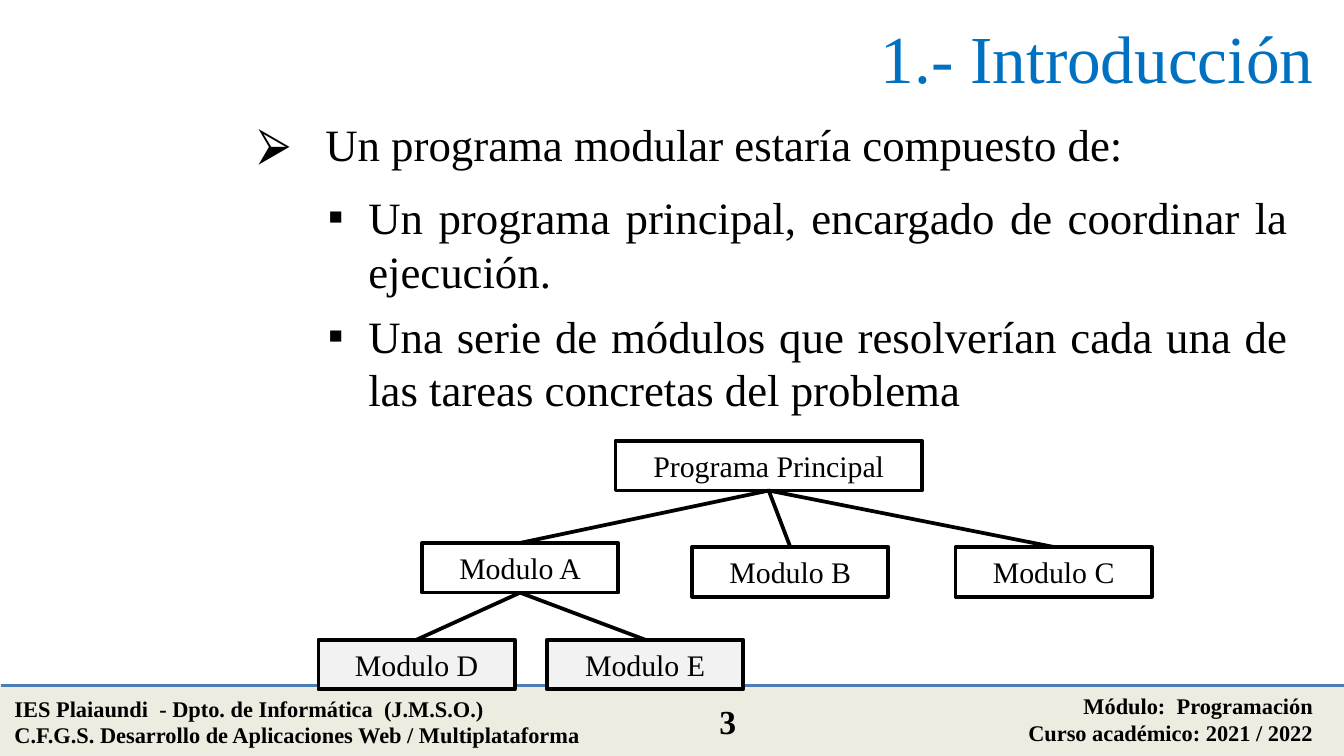
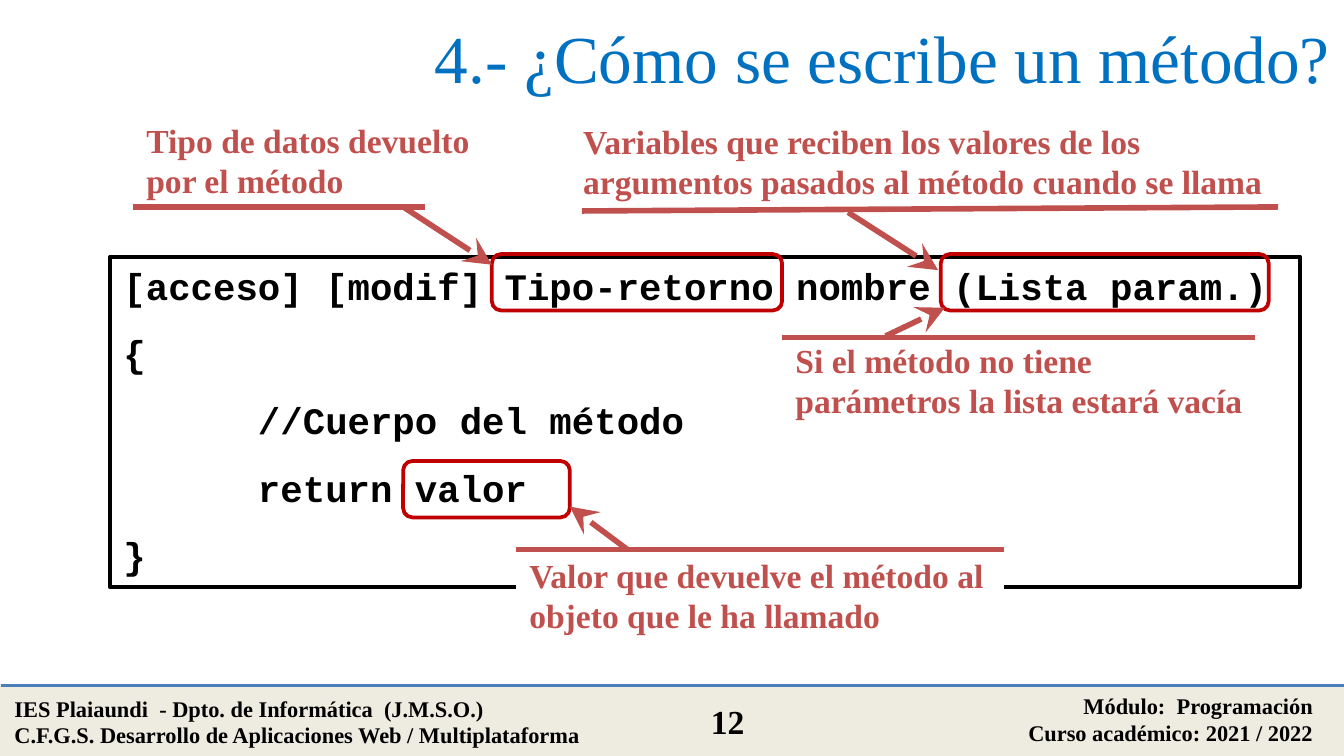
from dataclasses import dataclass
from typing import Optional

from lxml import etree
from pptx import Presentation
from pptx import util as u
from pptx.dml.color import RGBColor
from pptx.enum import shapes, text
from pptx.oxml import ns

Point = tuple[float, float]
Box = tuple[float, float, float, float]
ALIGN = text.PP_ALIGN


@dataclass(frozen=True)
class Theme:
    serif: str = "Times New Roman"
    mono: str = "Courier New"
    ink: str = "000000"
    paper: str = "FFFFFF"
    title: str = "0070C0"
    band: str = "EEECE1"
    band_rule: str = "4A7DBA"
    submodule: str = "F2F2F2"
    callout: str = "C0504D"
    frame: str = "C00000"
    title_size: float = 36
    body_size: float = 24
    code_size: float = 20
    label_size: float = 18
    node_size: float = 16
    footer_size: float = 12


THEME = Theme()


@dataclass(frozen=True)
class Style:
    size: float
    color: str = THEME.ink
    bold: bool = False
    font: str = THEME.serif
    align: ALIGN = ALIGN.LEFT
    space_before: float = 0


@dataclass(frozen=True)
class BulletList:
    items: str
    box: Box
    bullet: str
    indent: float
    space_before: float


@dataclass(frozen=True)
class Node:
    name: str
    left: float
    top: float
    width: float = 1.46
    fill: Optional[str] = None
    parent: Optional[str] = None


@dataclass(frozen=True)
class Callout:
    label: str
    box: Box
    rule: tuple[Point, Point]
    arrow: tuple[Point, Point]
    fill: Optional[str] = None


TITLE = Style(THEME.title_size, THEME.title, align=ALIGN.RIGHT)
FOOTER_LEFT = Style(THEME.footer_size, bold=True)
FOOTER_RIGHT = Style(THEME.footer_size, bold=True, align=ALIGN.RIGHT)
PAGE_NUMBER = Style(THEME.label_size, bold=True, align=ALIGN.CENTER)
NODE = Style(THEME.node_size, align=ALIGN.CENTER)
CODE = Style(THEME.code_size, bold=True, font=THEME.mono, space_before=12)
LABEL = Style(THEME.label_size, THEME.callout, bold=True)

LISTS = (
    BulletList("Un programa modular estaría compuesto de:",
               (1.82, 0.82, 7.19, 0.5), "⮚", 0.5, 0),
    BulletList("Un programa principal, encargado de coordinar la ejecución.\n"
               "Una serie de módulos que resolverían cada una de las tareas "
               "concretas del problema",
               (2.34, 1.36, 7.34, 1.8), "▪", 0.3, 6),
)

ROOT = "Programa Principal"
NODE_HEIGHT = 0.37
NODES = (
    Node(ROOT, 4.58, 3.28, width=2.28),
    Node("Modulo A", 3.14, 4.04, parent=ROOT),
    Node("Modulo B", 5.15, 4.07, parent=ROOT),
    Node("Modulo C", 7.11, 4.07, parent=ROOT),
    Node("Modulo D", 2.37, 4.76, fill=THEME.submodule, parent="Modulo A"),
    Node("Modulo E", 4.07, 4.76, fill=THEME.submodule, parent="Modulo A"),
)

METHOD_CODE = """[acceso] [modif] Tipo-retorno nombre (Lista param.)
{
      //Cuerpo del método
      return valor
}"""

FRAMES = ((3.66, 1.89, 2.16, 0.42), (7, 1.89, 2.44, 0.42), (3, 3.43, 1.24, 0.42))

CALLOUTS = (
    Callout("Tipo de datos devuelto por el método", (0.99, 0.84, 3.01, 0.71),
            ((0.99, 1.54), (3.16, 1.54)), ((3, 1.54), (3.66, 1.97))),
    Callout("Variables que reciben los valores de los argumentos pasados al "
            "método cuando se llama", (4.24, 0.85, 5.51, 0.71),
            ((4.33, 1.57), (9.51, 1.54)), ((6.31, 1.58), (6.98, 2.01))),
    Callout("Si el método no tiene parámetros la lista estará vacía",
            (5.82, 2.48, 3.63, 0.71),
            ((5.82, 2.51), (9.34, 2.51)), ((6.59, 2.5), (7.03, 2.29))),
    Callout("Valor que devuelve el método al objeto que le ha llamado",
            (3.84, 4.08, 3.63, 0.71),
            ((3.84, 4.09), (7.47, 4.09)), ((4.67, 4.09), (4.24, 3.77)),
            fill=THEME.paper),
)


def rgb(color: str) -> RGBColor:
    return RGBColor.from_string(color)


def inches(values) -> list:
    return [u.Inches(value) for value in values]


def place(shape, box: Box) -> None:
    shape.left, shape.top, shape.width, shape.height = inches(box)


def write(shape, content: str, style: Style,
          anchor=text.MSO_ANCHOR.TOP) -> None:
    """Fill a shape with one paragraph per line of content."""
    frame = shape.text_frame
    frame.text = content
    frame.word_wrap = True
    frame.auto_size = text.MSO_AUTO_SIZE.NONE
    frame.vertical_anchor = anchor
    for index, para in enumerate(frame.paragraphs):
        para.alignment = style.align
        para.space_before = u.Pt(style.space_before if index else 0)
        for span in para.runs:
            span.font.name = style.font
            span.font.size = u.Pt(style.size)
            span.font.bold = style.bold
            span.font.color.rgb = rgb(style.color)


def add_label(page, content: str, box: Box, style: Style):
    label = page.shapes.add_textbox(*inches(box))
    write(label, content, style)
    return label


def add_block(page, box: Box, fill: Optional[str], line: Optional[str],
              weight: float = 2, kind=shapes.MSO_SHAPE.RECTANGLE):
    block = page.shapes.add_shape(kind, *inches(box))
    block.shadow.inherit = False
    if fill:
        block.fill.solid()
        block.fill.fore_color.rgb = rgb(fill)
    else:
        block.fill.background()
    if line:
        block.line.color.rgb = rgb(line)
        block.line.width = u.Pt(weight)
    else:
        block.line.fill.background()
    return block


def add_line(page, start: Point, end: Point, color: str, weight: float,
             arrow: bool = False):
    line = page.shapes.add_connector(
        shapes.MSO_CONNECTOR.STRAIGHT, *inches(start + end))
    line.line.color.rgb = rgb(color)
    line.line.width = u.Pt(weight)
    props = line._element.spPr
    if arrow:
        etree.SubElement(props.get_or_add_ln(), ns.qn("a:tailEnd"),
                         type="stealth", w="lg", len="lg")
    etree.SubElement(props, ns.qn("a:effectLst"))
    return line


def add_footer(page, number: int) -> None:
    add_block(page, (0.01, 5.1, 10, 0.52), THEME.band, THEME.band)
    add_line(page, (0.01, 5.1), (10.01, 5.1), THEME.band_rule, 2)
    add_label(page, "IES Plaiaundi  - Dpto. de Informática  (J.M.S.O.)\n"
              "C.F.G.S. Desarrollo de Aplicaciones Web / Multiplataforma",
              (0.01, 5.12, 4.66, 0.5), FOOTER_LEFT)
    add_label(page, "Módulo:  Programación\nCurso académico: 2021 / 2022",
              (5.87, 5.1, 4, 0.5), FOOTER_RIGHT)
    add_label(page, str(number), (5.01, 5.17, 0.81, 0.4), PAGE_NUMBER)


def add_page(deck, layout: str, title: str, number: int):
    page = deck.slides.add_slide(deck.slide_layouts.get_by_name(layout))
    place(page.shapes.title, (1.32, 0, 8.68, 0.84))
    write(page.shapes.title, title, TITLE, text.MSO_ANCHOR.MIDDLE)
    add_footer(page, number)
    return page


def fill_list(body, content: BulletList) -> None:
    place(body, content.box)
    write(body, content.items, Style(THEME.body_size, align=ALIGN.JUSTIFY,
                                     space_before=content.space_before))
    for para in body.text_frame.paragraphs:
        props = para._p.get_or_add_pPr()
        props.set("marL", str(u.Inches(content.indent)))
        props.set("indent", str(-u.Inches(content.indent)))
        color = etree.SubElement(props, ns.qn("a:buClr"))
        etree.SubElement(color, ns.qn("a:srgbClr"), val=THEME.ink)
        etree.SubElement(props, ns.qn("a:buChar"), char=content.bullet)


def add_module_tree(page) -> None:
    drawn = {}
    for node in NODES:
        block = add_block(page, (node.left, node.top, node.width, NODE_HEIGHT),
                          node.fill, THEME.ink)
        write(block, node.name, NODE)
        drawn[node.name] = block
        if node.parent:
            branch = add_line(page, (0, 0), (1, 1), THEME.ink, 2)
            branch.begin_connect(drawn[node.parent], 2)
            branch.end_connect(block, 0)


def add_callout(page, callout: Callout) -> None:
    if callout.fill:
        label = add_block(page, callout.box, callout.fill, None)
        write(label, callout.label, LABEL)
    else:
        add_label(page, callout.label, callout.box, LABEL)
    add_line(page, *callout.rule, THEME.callout, 3)
    add_line(page, *callout.arrow, THEME.callout, 3, arrow=True)


def build_introduction(deck) -> None:
    page = add_page(deck, "Two Content", "1.- Introducción ", 3)
    for index, content in enumerate(LISTS, start=1):
        fill_list(page.placeholders[index], content)
    add_module_tree(page)


def build_method(deck) -> None:
    page = add_page(deck, "Title Only", "4.- ¿Cómo se escribe un método?", 12)
    code = add_block(page, (0.82, 1.91, 8.85, 2.46), THEME.paper, THEME.ink, 2.25)
    write(code, METHOD_CODE, CODE)
    for box in FRAMES:
        add_block(page, box, None, THEME.frame,
                  kind=shapes.MSO_SHAPE.ROUNDED_RECTANGLE)
    for callout in CALLOUTS:
        add_callout(page, callout)


def main() -> None:
    deck = Presentation()
    deck.slide_width = u.Inches(10)
    deck.slide_height = u.Inches(10 * 9 / 16)
    build_introduction(deck)
    build_method(deck)
    deck.save("out.pptx")


if __name__ == "__main__":
    main()
